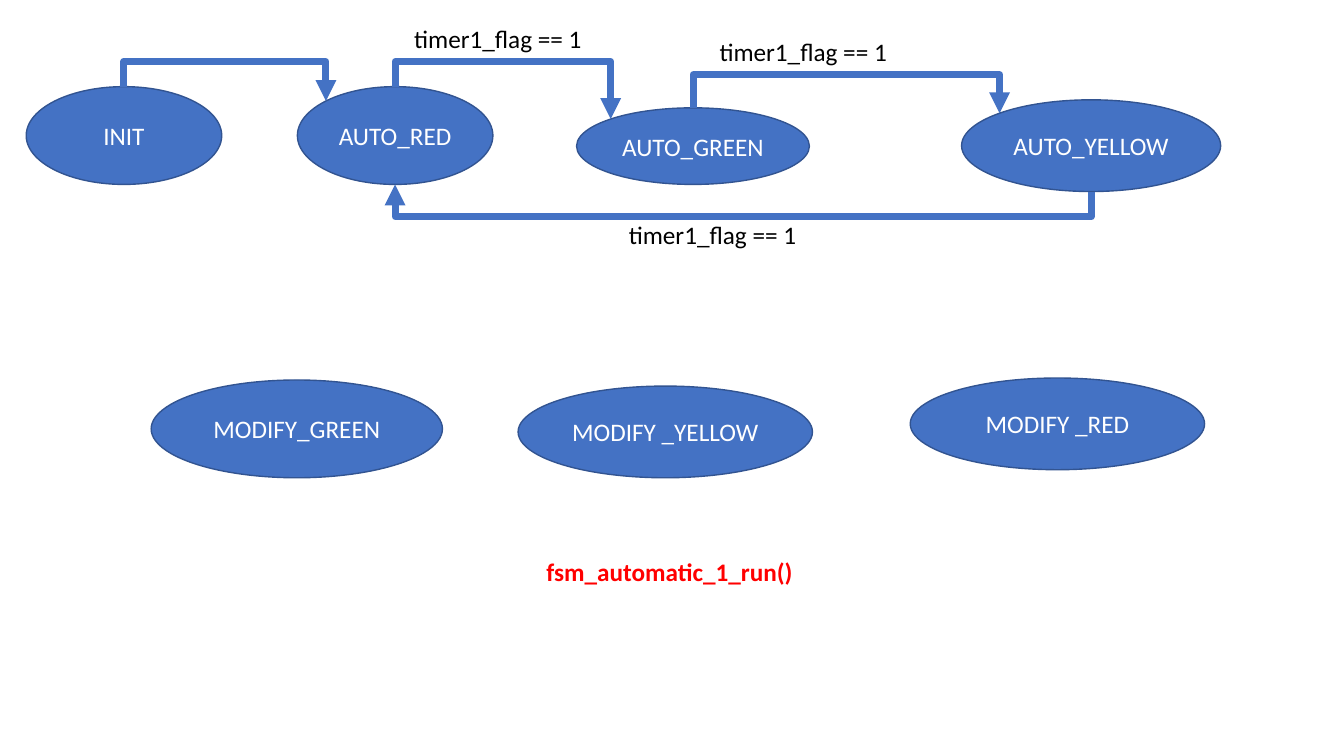
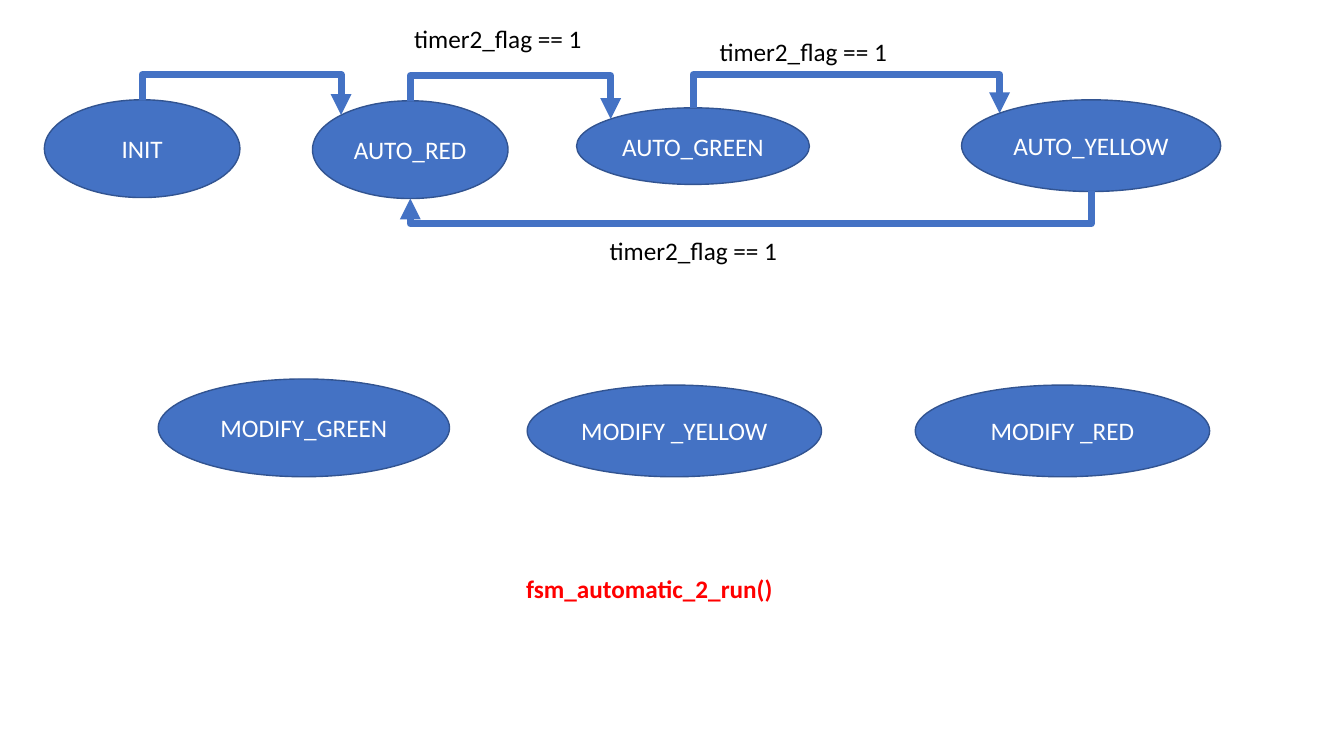
from dataclasses import dataclass
from itertools import pairwise
from math import sqrt

from lxml.etree import SubElement
from pptx import Presentation
from pptx.dml.color import RGBColor
from pptx.enum.shapes import MSO_CONNECTOR, MSO_SHAPE
from pptx.enum.text import MSO_ANCHOR, MSO_AUTO_SIZE, PP_ALIGN
from pptx.oxml.ns import qn
from pptx.shapes.autoshape import Shape
from pptx.slide import Slide
from pptx.text.text import TextFrame
from pptx.util import Emu, Inches, Pt

COLORS = {"fill": "4472C4", "edge": "325491", "light": "FFFFFF",
          "dark": "000000", "title": "FF0000"}
FONT = "Calibri"
WIDE, HIGH = Inches(13.333), Inches(7.5)
COLS = 80  # square grid cells: 80 columns by 45 rows
CELL = WIDE / COLS
LANE = 1.5  # rows between the states and an arrow's level run
TOP, CORNER, BASE = 0, 1, 4  # connection sites of the round shape


@dataclass(frozen=True)
class Box:
    """A place on the grid, in columns and rows."""
    col: float
    row: float
    wide: float
    high: float

    def site(self, idx: int) -> tuple[float, float]:
        """Return the point of a connection site on the inscribed ellipse."""
        lean = (1 - 1 / sqrt(2)) / 2
        x, y = {TOP: (0.5, 0), CORNER: (lean, lean), BASE: (0.5, 1)}[idx]
        return self.col + x * self.wide, self.row + y * self.high


@dataclass(frozen=True)
class State:
    """A named state of the machine."""
    name: str
    box: Box


@dataclass(frozen=True)
class Machine:
    """The content of one slide."""
    title: str
    title_box: Box
    flag: str
    flag_boxes: list[Box]
    cycle: list[State]
    modes: list[State]


def rgb(key: str) -> RGBColor:
    """Look up a palette colour."""
    return RGBColor.from_string(COLORS[key])


def grid(cells: float) -> Emu:
    """Turn grid cells into a length."""
    return Emu(round(cells * CELL))


def place(box: Box) -> tuple[Emu, Emu, Emu, Emu]:
    """Return left, top, width and height of a box."""
    return grid(box.col), grid(box.row), grid(box.wide), grid(box.high)


def write(frame: TextFrame, text: str, color: str,
          align: PP_ALIGN = PP_ALIGN.LEFT,
          anchor: MSO_ANCHOR = MSO_ANCHOR.TOP, bold: bool = False) -> None:
    """Set and format one line of text."""
    frame.text = text
    frame.word_wrap = True
    frame.auto_size = MSO_AUTO_SIZE.NONE
    frame.vertical_anchor = anchor
    line = frame.paragraphs[0]
    line.alignment = align
    for run in line.runs:
        run.font.name, run.font.size, run.font.bold = FONT, Pt(18), bold
        run.font.color.rgb = rgb(color)


def add_state(slide: Slide, state: State) -> Shape:
    """Draw a state as an ellipse."""
    shape = slide.shapes.add_shape(MSO_SHAPE.FLOWCHART_CONNECTOR, *place(state.box))
    shape.shadow.inherit = False
    shape.fill.solid()
    shape.fill.fore_color.rgb = rgb("fill")
    shape.line.color.rgb = rgb("edge")
    shape.line.width = Pt(1)
    write(shape.text_frame, state.name, "light", PP_ALIGN.CENTER, MSO_ANCHOR.MIDDLE)
    return shape


def add_arrow(slide: Slide, start: tuple[Shape, Box], end: tuple[Shape, Box],
              sites: tuple[int, int]) -> None:
    """Join two states by an arrow that runs above or below both."""
    (tail, from_box), (head, to_box) = start, end
    (x1, y1), (x2, y2) = from_box.site(sites[0]), to_box.site(sites[1])
    if sites[0] == TOP:
        lane = min(from_box.row, to_box.row) - LANE
    else:
        lane = max(y1, y2) + LANE
    wide, high = abs(y2 - y1), abs(x2 - x1)  # sides swap in a quarter turn
    arrow = slide.shapes.add_connector(MSO_CONNECTOR.ELBOW, 0, 0, 0, 0)
    arrow.left, arrow.top, arrow.width, arrow.height = place(
        Box((x1 + x2 - wide) / 2, (y1 + y2 - high) / 2, wide, high))
    arrow.line.color.rgb = rgb("fill")
    arrow.line.width = Pt(5)

    node = arrow._element
    turn = 270 if x2 > x1 else 90
    node.spPr.xfrm.set("rot", str(turn * 60000))
    if (x2 > x1) == (y2 > y1):
        node.spPr.xfrm.set("flipH", "1")
    bend = round((lane - y1) / (y2 - y1) * 100000)
    guides = node.spPr.find(qn("a:prstGeom")).find(qn("a:avLst"))
    SubElement(guides, qn("a:gd"), name="adj1", fmla=f"val {bend}")
    SubElement(arrow.line._get_or_add_ln(), qn("a:tailEnd"), type="triangle")
    SubElement(node.spPr, qn("a:effectLst"))
    links = node.find(qn("p:nvCxnSpPr")).find(qn("p:cNvCxnSpPr"))
    for tag, shape, idx in zip(("a:stCxn", "a:endCxn"), (tail, head), sites):
        SubElement(links, qn(tag), id=str(shape.shape_id), idx=str(idx))


def add_slide(deck: Presentation, plan: Machine) -> None:
    """Build the slide of one machine."""
    slide = deck.slides.add_slide(deck.slide_layouts.get_by_name("Title Only"))
    title = slide.shapes.title
    title.left, title.top, title.width, title.height = place(plan.title_box)
    write(title.text_frame, plan.title, "title", bold=True)

    nodes = [(add_state(slide, state), state.box) for state in plan.cycle]
    for state in plan.modes:
        add_state(slide, state)
    for start, end in pairwise(nodes):
        add_arrow(slide, start, end, (TOP, CORNER))
    add_arrow(slide, nodes[-1], nodes[1], (BASE, BASE))
    for box in plan.flag_boxes:
        label = slide.shapes.add_textbox(*place(box))
        write(label.text_frame, plan.flag, "dark")


def plan(num: int, title: tuple[float, float], loop: tuple[float, float],
         first: tuple[float, float], red: tuple[float, float],
         modes: list[tuple[float, float]]) -> Machine:
    """Fill in a machine from its number and the places that vary."""
    spots = [(24.06, 1.08), (42.24, 1.86), loop]
    names = ["MODIFY_GREEN", "MODIFY _YELLOW", "MODIFY _RED"]
    sizes = [(17.34, 5.82), (17.52, 5.46), (17.52, 5.46)]
    return Machine(
        title=f"fsm_automatic_{num}_run()",
        title_box=Box(*title, 17.52, 2.4),
        flag=f"timer{num}_flag == 1",
        flag_boxes=[Box(*spot, 12.24, 2.4) for spot in spots],
        cycle=[State("INIT", Box(*first, 11.64, 5.82)),
               State("AUTO_RED", Box(*red, 11.64, 5.82)),
               State("AUTO_GREEN", Box(34.32, 6.42, 13.86, 4.56)),
               State("AUTO_YELLOW", Box(57.24, 5.94, 15.42, 5.46))],
        modes=[State(name, Box(*spot, *size))
               for name, spot, size in zip(names, modes, sizes)])


PLANS = [
    plan(1, title=(31.92, 32.82), loop=(36.84, 12.78),
         first=(1.56, 5.16), red=(17.7, 5.16),
         modes=[(9, 22.62), (30.84, 22.98), (54.18, 22.5)]),
    plan(2, title=(30.72, 33.84), loop=(35.7, 13.74),
         first=(2.64, 5.94), red=(18.6, 6),
         modes=[(9.42, 22.56), (31.38, 22.92), (54.48, 22.92)]),
]

deck = Presentation()
deck.slide_width, deck.slide_height = WIDE, HIGH
for machine in PLANS:
    add_slide(deck, machine)
deck.save("out.pptx")
